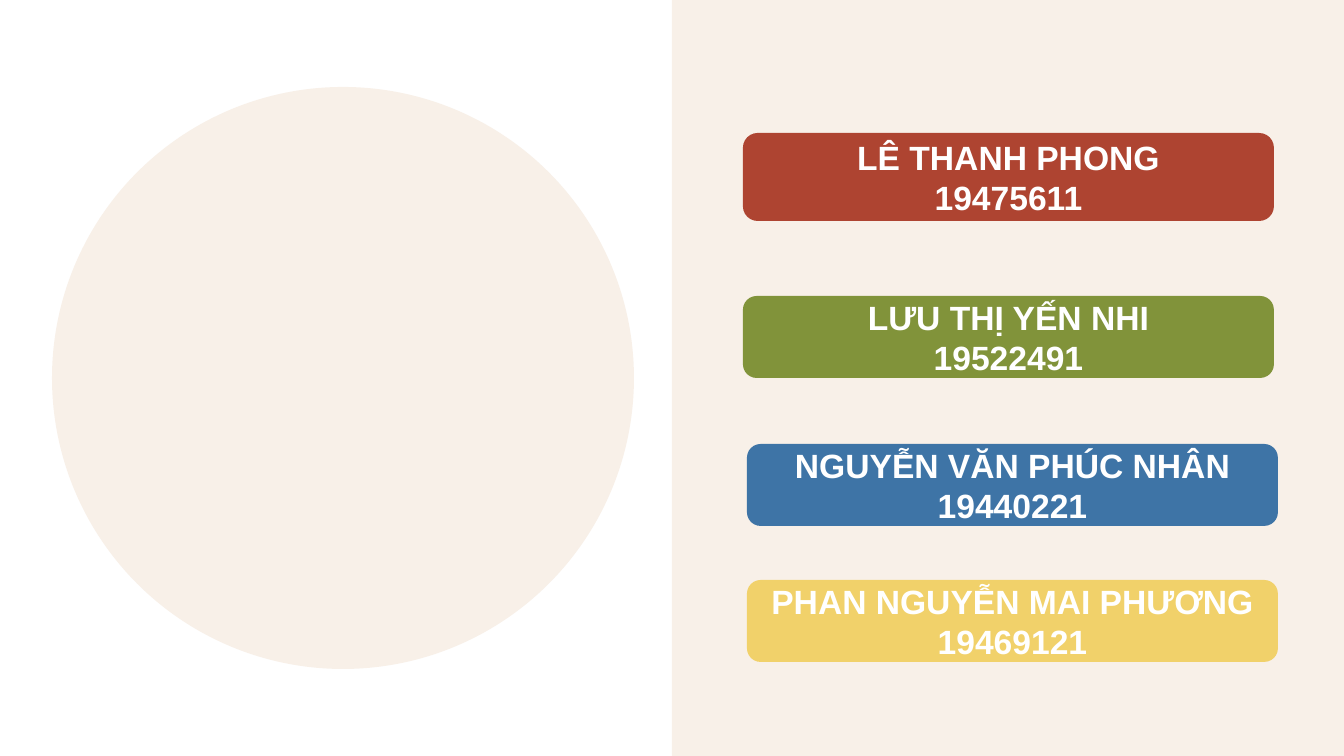
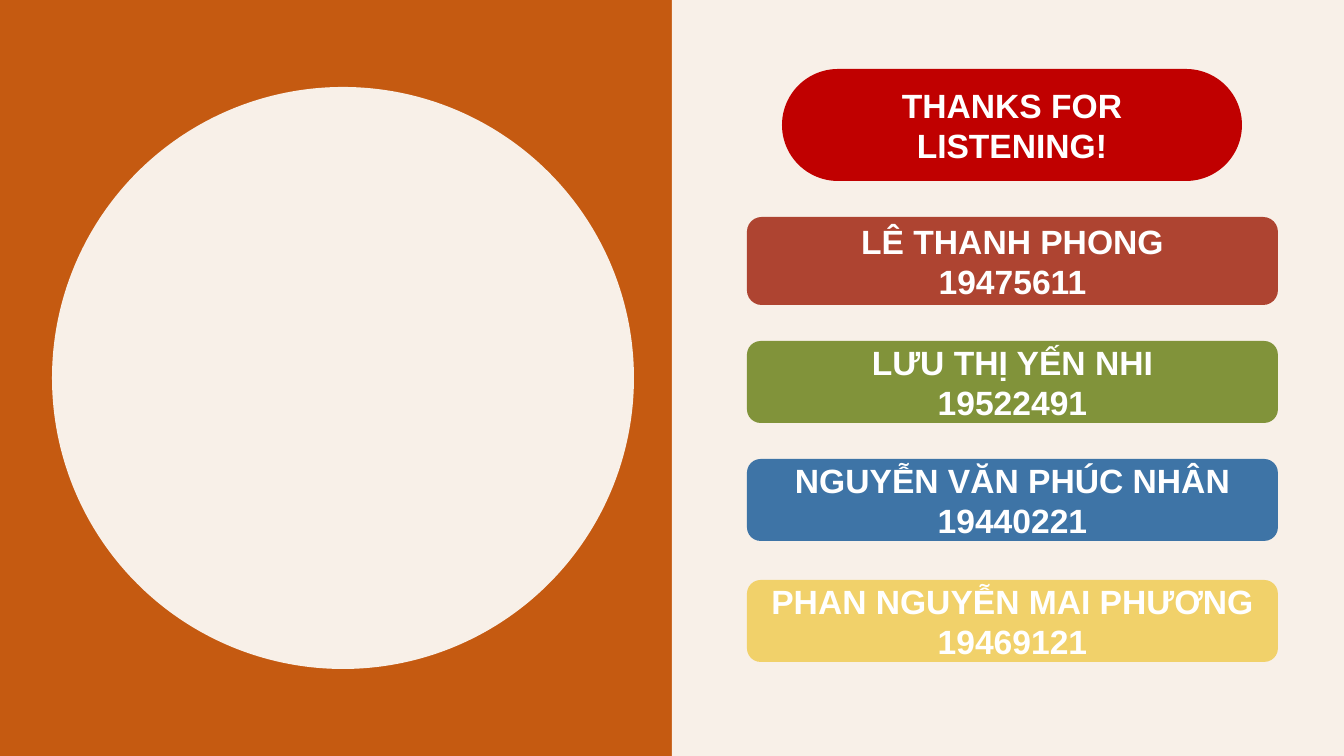
from pptx import Presentation
from pptx.dml.color import RGBColor
from pptx.enum.shapes import MSO_SHAPE as Kind
from pptx.enum.text import MSO_ANCHOR as Anchor, PP_ALIGN as Align
from pptx.util import Pt

PX = 914400 / 100.8
WIDE, HIGH = 1344, 756
CREAM, WHITE = "F8F0E8", "FFFFFF"
FONT = {"name": "Arial", "size": Pt(24), "bold": True}

TEAM = [
    ("LÊ THANH PHONG", "19475611", "AE4431", 88),
    ("LƯU THỊ YẾN NHI", "19522491", "81933A", 82),
    ("NGUYỄN VĂN PHÚC NHÂN", "19440221", "3E74A6", 82),
    ("PHAN NGUYỄN MAI PHƯƠNG", "19469121", "F1D16A", 82),
]
# Backdrop, left and top of each member's bar, closing words
PAGES = [
    (WHITE, [(743, 133), (743, 296), (747, 444), (747, 580)], None),
    ("C55A11", [(747, 217), (747, 341), (747, 459), (747, 580)],
     "THANKS FOR LISTENING!"),
]


def paint(fill, color):
    fill.solid()
    fill.fore_color.rgb = RGBColor.from_string(color)


def draw(slide, kind, box, color, lines=()):
    """Add a plain filled shape with one centred paragraph per line."""
    shape = slide.shapes.add_shape(kind, *(round(n * PX) for n in box))
    shape.shadow.inherit = False
    paint(shape.fill, color)
    shape.line.fill.background()
    frame = shape.text_frame
    frame.word_wrap = True
    frame.vertical_anchor = Anchor.MIDDLE
    for i, line in enumerate(lines):
        para = frame.add_paragraph() if i else frame.paragraphs[0]
        para.text = line
        para.alignment = Align.CENTER
        for key, value in FONT.items():
            setattr(para.font, key, value)
        paint(para.font.fill, WHITE)
    return shape


deck = Presentation()
deck.slide_width, deck.slide_height = round(WIDE * PX), round(HIGH * PX)
blank = deck.slide_layouts[6]

for back, spots, thanks in PAGES:
    slide = deck.slides.add_slide(blank)
    paint(slide.background.fill, back)
    draw(slide, Kind.RECTANGLE, (WIDE // 2, 0, WIDE // 2, HIGH), CREAM)
    draw(slide, Kind.OVAL, (52, 87, 582, 582), CREAM)
    for (left, top), (name, code, color, tall) in zip(spots, TEAM):
        draw(slide, Kind.ROUNDED_RECTANGLE, (left, top, 531, tall), color,
             (name, code))
    if thanks:
        pill = draw(slide, Kind.ROUNDED_RECTANGLE, (782, 69, 460, 112),
                    "C00000", [thanks])
        pill.adjustments[0] = 0.5

deck.save("out.pptx")
